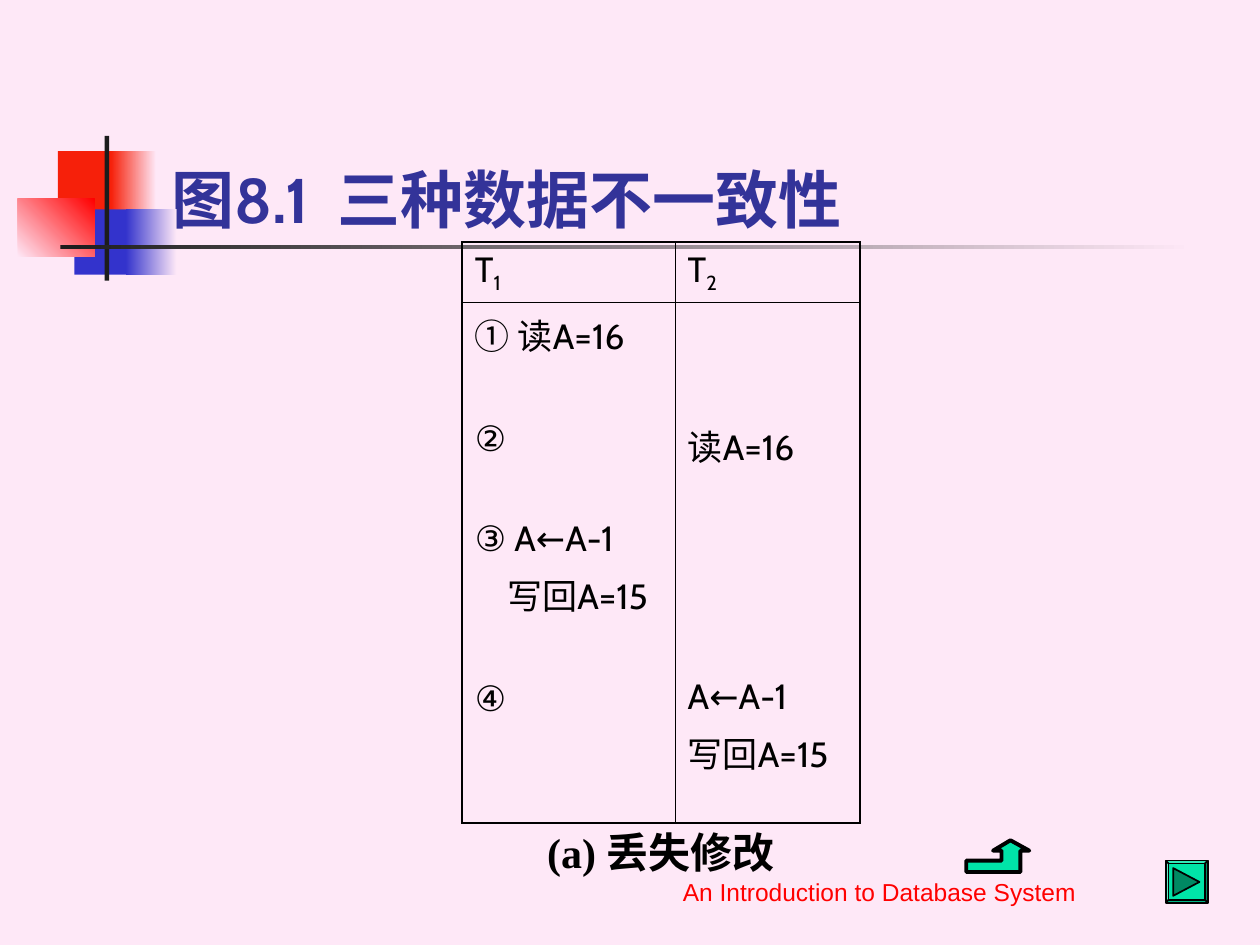
import pptx
import pptx.dml.color
import pptx.enum.shapes
import pptx.enum.text
import pptx.oxml
import pptx.oxml.ns
import pptx.util
from pptx.util import Cm

COLORS = {
    "background": "FEE8F7", "red": "F6200A", "bright_red": "FF0000",
    "blue": "3333CC", "title": "333399", "dark": "1C1C1C",
    "black": "000000", "green": "00E4A8", "dark_green": "008963",
}
ALIGN = pptx.enum.text.PP_ALIGN
ANCHOR = pptx.enum.text.MSO_ANCHOR
SHAPE = pptx.enum.shapes.MSO_SHAPE
THIN, THICK = 0.45, 1.08


def color(name):
    return pptx.dml.color.RGBColor.from_string(COLORS[name])


def apply(target, values):
    for name, value in values.items():
        setattr(target, name, value)


class SlideBuilder:
    def __init__(self, slide):
        self.slide = slide
        self.body_font = {"name": "Cabin", "size": pptx.util.Pt(20), "bold": False}
        slide.background.fill.solid()
        slide.background.fill.fore_color.rgb = color("background")

    def run(self, paragraph, text, font, font_color="black"):
        run = paragraph.add_run()
        run.text = text
        apply(run.font, font)
        run.font.color.rgb = color(font_color)
        return run

    def fill_frame(self, shape, text, font, font_color, frame, align):
        apply(shape.text_frame, frame)
        paragraph = shape.text_frame.paragraphs[0]
        paragraph.alignment = align
        self.run(paragraph, text, font, font_color)

    def title(self, text, box, font, font_color):
        title = self.slide.shapes.title
        apply(title, dict(zip(("left", "top", "width", "height"), map(Cm, box))))
        frame = {"vertical_anchor": ANCHOR.BOTTOM,
                 "auto_size": pptx.enum.text.MSO_AUTO_SIZE.NONE}
        self.fill_frame(title, text, font, font_color, frame, ALIGN.LEFT)

    def text(self, text, box, font, font_color, anchor, wrap=True):
        shape = self.slide.shapes.add_textbox(*map(Cm, box))
        frame = {"vertical_anchor": anchor, "word_wrap": wrap}
        self.fill_frame(shape, text, font, font_color, frame, ALIGN.CENTER)

    def finish(self, shape, fill, line_width):
        shape.shadow.inherit = False
        shape.fill.solid()
        shape.fill.fore_color.rgb = color(fill)
        if line_width:
            shape.line.color.rgb = color("black")
            shape.line.width = pptx.util.Pt(line_width)
        else:
            shape.line.fill.background()

    def shape(self, kind, box, fill, line_width=0):
        shape = self.slide.shapes.add_shape(kind, *map(Cm, box))
        self.finish(shape, fill, line_width)
        return shape

    def gradient(self, box, start, end, angle=0):
        shape = self.shape(SHAPE.RECTANGLE, box, start)
        shape.fill.gradient()
        shape.fill.gradient_angle = angle
        for stop, name in zip(shape.fill.gradient_stops, (start, end)):
            stop.color.rgb = color(name)

    def outline(self, points, fill, line_width):
        corners = [(Cm(x), Cm(y)) for x, y in points]
        builder = self.slide.shapes.build_freeform(*corners[0])
        builder.add_line_segments(corners[1:], close=True)
        self.finish(builder.convert_to_shape(), fill, line_width)

    def table(self, position, widths, heights):
        table = self.slide.shapes.add_table(
            len(heights), len(widths), *map(Cm, position),
            Cm(sum(widths)), Cm(sum(heights))).table
        apply(table, {"first_row": False, "horz_banding": False})
        for column, width in zip(table.columns, widths):
            column.width = Cm(width)
        for row, height in zip(table.rows, heights):
            row.height = Cm(height)
        for row in range(len(heights)):
            for column in range(len(widths)):
                cell = table.cell(row, column)
                self.borders(cell, {
                    "L": column == 0, "R": column == len(widths) - 1,
                    "T": row == 0, "B": row == len(heights) - 1})
                cell.fill.background()
        return table

    def borders(self, cell, outer_sides):
        properties = cell._tc.get_or_add_tcPr()
        for side, outer in outer_sides.items():
            width = pptx.util.Pt(THICK if outer else THIN)
            properties.append(pptx.oxml.parse_xml(
                f'<a:ln{side} {pptx.oxml.ns.nsdecls("a")} w="{width}"><a:solidFill>'
                f'<a:srgbClr val="{COLORS["black"]}"/></a:solidFill></a:ln{side}>'))

    def subscripted(self, cell, text, subscript):
        paragraph = cell.text_frame.paragraphs[0]
        self.run(paragraph, text, self.body_font)
        run = self.run(paragraph, subscript, self.body_font)
        run.font._element.set("baseline", "-25000")

    def steps(self, cell, steps):
        """Each step is its text, the space before it in points, its indent in cm."""
        frame = cell.text_frame
        for index, (text, space, indent) in enumerate(steps):
            paragraph = frame.add_paragraph() if index else frame.paragraphs[0]
            paragraph.space_before = pptx.util.Pt(space)
            if indent:
                paragraph._p.get_or_add_pPr().set("marL", str(Cm(indent)))
            self.run(paragraph, text, self.body_font)


def main():
    presentation = pptx.Presentation()
    apply(presentation, {"slide_width": Cm(25.4), "slide_height": Cm(19.05)})
    builder = SlideBuilder(presentation.slides.add_slide(presentation.slide_layouts[5]))

    # Corner ornament and title rule
    builder.shape(SHAPE.RECTANGLE, (1.17, 3.05, 1.22, 1.32), "red")
    builder.gradient((2.24, 3.05, 0.91, 1.32), "red", "background")
    builder.shape(SHAPE.RECTANGLE, (1.5, 4.22, 1.17, 1.32), "blue")
    builder.gradient((2.54, 4.22, 1.02, 1.32), "blue", "background")
    builder.gradient((0.36, 4.01, 1.55, 1.17), "background", "bright_red", 45)
    builder.shape(SHAPE.RECTANGLE, (2.11, 2.74, 0.09, 2.92), "dark")
    builder.gradient((1.22, 4.94, 22.86, 0.09), "dark", "background")

    # Title, footer and caption
    builder.title("图8.1  三种数据不一致性", (3.2, 1.7, 21.64, 3.18),
                  {"name": "Cabin", "size": pptx.util.Pt(36), "bold": True}, "title")
    builder.text("An Introduction to Database System", (11.1, 17.12, 13.26, 1.27),
                 {"name": "Arial", "size": pptx.util.Pt(14)}, "bright_red", ANCHOR.BOTTOM)
    builder.text("(a) 丢失修改", (9.73, 16.31, 7.19, 1.7),
                 {"name": "Times New Roman", "size": pptx.util.Pt(24), "bold": True},
                 "black", ANCHOR.MIDDLE, wrap=False)

    # Transaction schedule
    table = builder.table((9.32, 4.88), (4.29, 3.73), (1.22, 10.49))
    for column, number in enumerate("12"):
        builder.subscripted(table.cell(0, column), "T", number)
    builder.steps(table.cell(1, 0), [
        ("① 读A=16", 5, 0), ("②", 33, 0), ("③ A←A-1", 33, 0),
        ("写回A=15", 5, 0.65), ("④", 33, 0)])
    second_steps = table.cell(1, 1)
    second_steps.margin_top = Cm(2.37)
    builder.steps(second_steps, [
        ("读A=16", 5, 0), ("A←A-1", 117, 0), ("写回A=15", 5, 0)])

    # Return arrow and next button
    builder.outline([(20.37, 16.94), (20.02, 17.15), (20.19, 17.15), (20.19, 17.35),
                     (19.48, 17.35), (19.48, 17.58), (20.57, 17.58), (20.57, 17.15),
                     (20.75, 17.15)], "green", 2.25)
    button = builder.shape(SHAPE.BEVEL, (23.5, 17.35, 0.85, 0.85), "green", 1)
    button.adjustments[0] = 0.07
    builder.outline([(23.65, 17.5), (24.18, 17.78), (23.65, 18.06)], "dark_green", 1)

    presentation.save("out.pptx")


if __name__ == "__main__":
    main()
